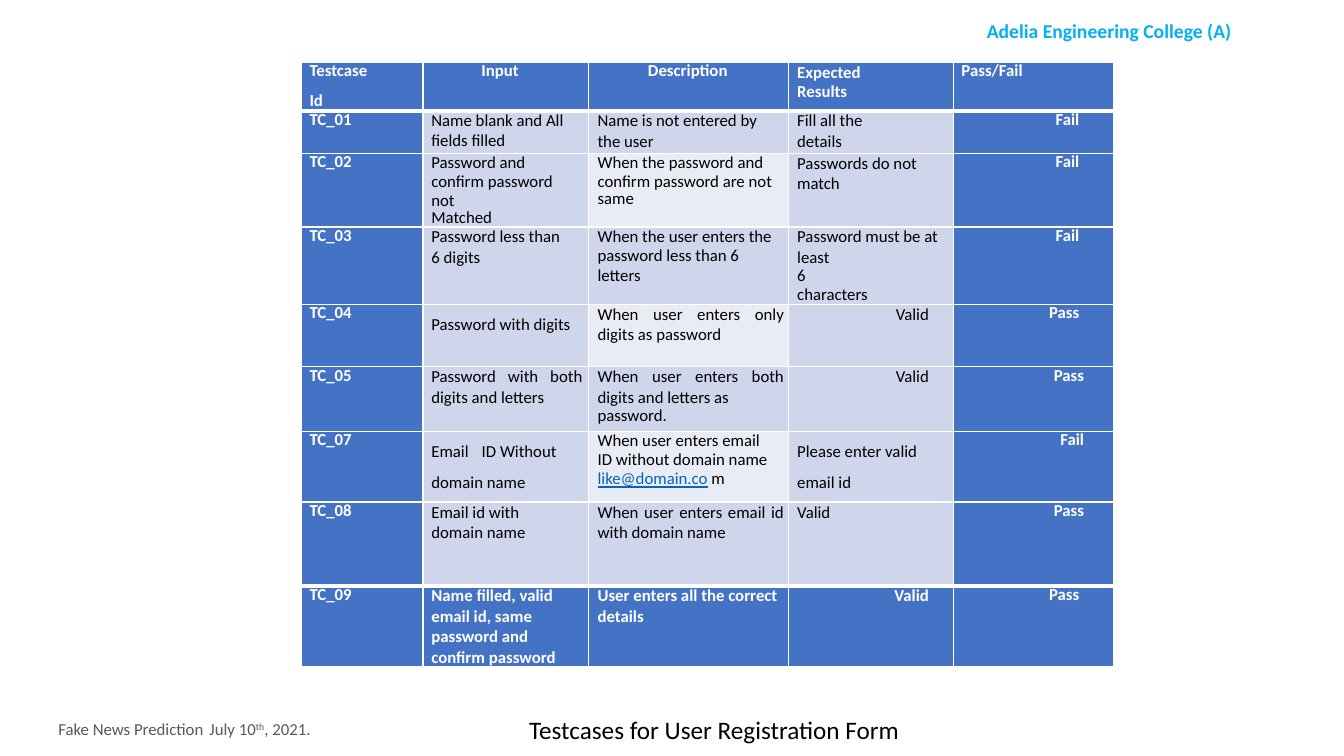
from lxml import etree
from pptx import Presentation
from pptx import util as u
from pptx.dml.color import RGBColor
from pptx.enum import text as t
from pptx.oxml.ns import qn

COLORS = {
    "blue": "4472C4", "pale": "CFD5EA", "paler": "E9EBF5", "white": "FFFFFF",
    "black": "000000", "sky": "00B0F0", "link": "0563C1", "grey": "595959",
}
LEFT, RIGHT = t.PP_ALIGN.LEFT, t.PP_ALIGN.RIGHT
CENTER, JUSTIFY = t.PP_ALIGN.CENTER, t.PP_ALIGN.JUSTIFY

COLLEGE = "Adelia Engineering College (A)"
TITLE = "Testcases for User Registration Form"
FOOTER = [("Fake News Prediction\tJuly 10", {}), ("th", {"baseline": 30}), (", 2021.", {})]

COLUMN_WIDTHS = [3.07, 4.17, 5.05, 4.14, 4.04]
ROW_HEIGHTS = [1.19, 1.07, 1.35, 1.57, 1.57, 1.63, 1.78, 2.11, 1.93]
INDENTS = [0.21, 0.21, 0.23, 0.21, 0]
RIGHT_INDENTS = [0, 0.64, 0.25, 0.25, 0.86]
PALER_ROWS = (2, 4, 6)

HEADER = [
    [("Testcase", {"spacing": u.Pt(13.5)}), ("Id", {"before": 6.8})],
    [("Input", {"spacing": u.Pt(13.5), "indent": 1.47})],
    [("Description", {"spacing": u.Pt(13.5), "indent": 1.5})],
    [("Expected Results", {"spacing": 0.96, "before": 0.1, "right": 1.5})],
    [("Pass/Fail", {"spacing": u.Pt(13.5), "indent": 0.21, "right": 0})],
]
VALID = ("Valid", {"align": RIGHT, "right": 0.61})
CASES = [
    ("TC_01", 13.5,
     [("Name blank and All fields filled", {"spacing": 0.96, "before": 0.1, "right": 0.5})],
     [("Name is not entered by the user", {"before": 0.1, "right": 0.5})],
     [("Fill all the details", {"before": 0.1, "right": 1.5})],
     ("Fail", {})),
    ("TC_02", 13.5,
     [("Password and confirm password not", {"spacing": 0.92, "before": 0.3}),
      ("Matched", {"spacing": u.Pt(12.8)})],
     [("When the password and confirm password are not", {"spacing": 0.92, "before": 0.3}),
      ("same", {"spacing": u.Pt(12.8)})],
     [("Passwords do not match", {"before": 0.1})],
     ("Fail", {})),
    ("TC_03", 13.5,
     [("Password less than 6 digits", {"before": 0.1})],
     [("When the user enters the password less than 6 letters",
       {"spacing": 0.95, "before": 0.1})],
     [("Password must be at least", {"before": 6.7}),
      ("6", {"spacing": u.Pt(13.2)}),
      ("characters", {"spacing": u.Pt(13.3)})],
     ("Fail", {})),
    ("TC_04", 13.2,
     [("Password with digits", {"spacing": 1.5, "right": 0})],
     [("When user enters only digits as password", {"align": JUSTIFY, "right": 0.12})],
     [VALID],
     ("Pass", {})),
    ("TC_05", 13.5,
     [("Password with both digits and letters", {"align": JUSTIFY, "right": 0.15})],
     [("When user enters both digits and letters as", {"align": JUSTIFY, "right": 0.12}),
      ("password.", {"spacing": u.Pt(13.2)})],
     [VALID],
     ("Pass", {"right": 0.74})),
    ("TC_07", 13.4,
     [("Email\tID Without domain name", {"spacing": 1.5, "tab": 2.49})],
     [([("When user enters email ID without domain name ", {}),
        ("like@domain.co", {"color": "link", "underline": True}), (" m", {})],
       {"spacing": u.Pt(13.8), "right": 0.38})],
     [("Please enter valid email id", {"spacing": 1.5})],
     ("Fail", {"right": 0.74})),
    ("TC_08", 13.2,
     [("Email id with domain name", {"right": 0.76})],
     [("When user enters email id with domain name", {"align": JUSTIFY, "right": 0.12})],
     [("Valid", {"before": 6.8})],
     ("Pass", {"right": 0.74})),
    ("TC_09", 13.5,
     [("Name filled, valid email id, same password and confirm password", {"before": 6})],
     [("User enters all the correct details", {"right": 0})],
     [VALID],
     ("Pass", {})),
]


def write_text(frame, content, size=12, color="black", bold=False, align=LEFT,
               spacing=None, before=0, indent=0, right=0, tab=None):
    paragraph = frame.add_paragraph() if frame.text else frame.paragraphs[0]
    paragraph.alignment = align
    paragraph.space_before = u.Pt(before)
    if spacing:
        paragraph.line_spacing = spacing
    properties = paragraph._p.get_or_add_pPr()
    properties.set("marL", str(u.Cm(indent)))
    properties.set("marR", str(u.Cm(right)))
    properties.set("indent", "0")
    if tab:
        tabs = etree.SubElement(properties, qn("a:tabLst"))
        etree.SubElement(tabs, qn("a:tab"), pos=str(u.Cm(tab)), algn="l")
    runs = [(content, {})] if isinstance(content, str) else content
    for words, style in runs:
        run = paragraph.add_run()
        run.text = words
        run.font.name = "Calibri"
        run.font.size = u.Pt(size)
        run.font.bold = bold
        run.font.underline = style.get("underline", False)
        run.font.color.rgb = RGBColor.from_string(COLORS[style.get("color", color)])
        if "baseline" in style:
            run.font._element.set("baseline", str(style["baseline"] * 1000))


def set_borders(cell, top, bottom):
    properties = cell._tc.get_or_add_tcPr()
    for side, width in (("L", 1), ("R", 1), ("T", top), ("B", bottom)):
        line = etree.SubElement(properties, qn("a:ln" + side), w=str(u.Pt(width)))
        fill = etree.SubElement(line, qn("a:solidFill"))
        etree.SubElement(fill, qn("a:srgbClr"), val=COLORS["white"])


def add_text_box(slide, left, top, width, height):
    frame = slide.shapes.add_textbox(u.Cm(left), u.Cm(top), u.Cm(width), u.Cm(height)).text_frame
    frame.word_wrap = True
    return frame


def add_case_table(slide):
    rows = [HEADER]
    for case_id, leading, entered, description, expected, (status, style) in CASES:
        line = {"spacing": u.Pt(leading)}
        rows.append([[(case_id, line)], entered, description, expected,
                     [(status, {"align": RIGHT, **line, **style})]])
    last = len(rows) - 1
    table = slide.shapes.add_table(len(rows), len(COLUMN_WIDTHS), u.Cm(7.59), u.Cm(1.57),
                                   u.Cm(sum(COLUMN_WIDTHS)), u.Cm(sum(ROW_HEIGHTS))).table
    table.first_row = table.horz_banding = False
    for column, width in zip(table.columns, COLUMN_WIDTHS):
        column.width = u.Cm(width)
    for row, height in zip(table.rows, ROW_HEIGHTS):
        row.height = u.Cm(height)
    for r, row in enumerate(rows):
        for c, paragraphs in enumerate(row):
            cell = table.cell(r, c)
            cell.margin_left = cell.margin_right = cell.margin_top = cell.margin_bottom = 0
            set_borders(cell, 3 if r in (1, last) else 1, 3 if r in (0, last - 1) else 1)
            strong = r in (0, last) or c in (0, 4)
            fill = "blue" if strong else "paler" if c == 2 and r in PALER_ROWS else "pale"
            cell.fill.solid()
            cell.fill.fore_color.rgb = RGBColor.from_string(COLORS[fill])
            base = {"indent": INDENTS[c], "right": 0 if r == 0 else RIGHT_INDENTS[c],
                    "bold": strong, "color": "white" if strong else "black"}
            for content, style in paragraphs:
                write_text(cell.text_frame, content, **{**base, **style})


def main():
    presentation = Presentation()
    presentation.slide_width, presentation.slide_height = u.Cm(33.87), u.Cm(19.05)
    slide = presentation.slides.add_slide(presentation.slide_layouts[5])

    college = add_text_box(slide, 23.09, 0.36, 9.73, 0.86)
    write_text(college, COLLEGE, size=14, color="sky", bold=True, align=CENTER)

    add_case_table(slide)

    title = slide.shapes.title
    title.left, title.top, title.width, title.height = u.Cm(13.08), u.Cm(17.86), u.Cm(11.07), u.Cm(1.02)
    title.text_frame.auto_size = t.MSO_AUTO_SIZE.NONE
    title.text_frame.vertical_anchor = t.MSO_ANCHOR.MIDDLE
    write_text(title.text_frame, TITLE, size=18)

    footer = add_text_box(slide, 1.14, 17.98, 30.81, 0.76)
    footer.margin_left = u.Cm(0.33)
    write_text(footer, FOOTER, color="grey", tab=27.25)

    presentation.save("out.pptx")


if __name__ == "__main__":
    main()
